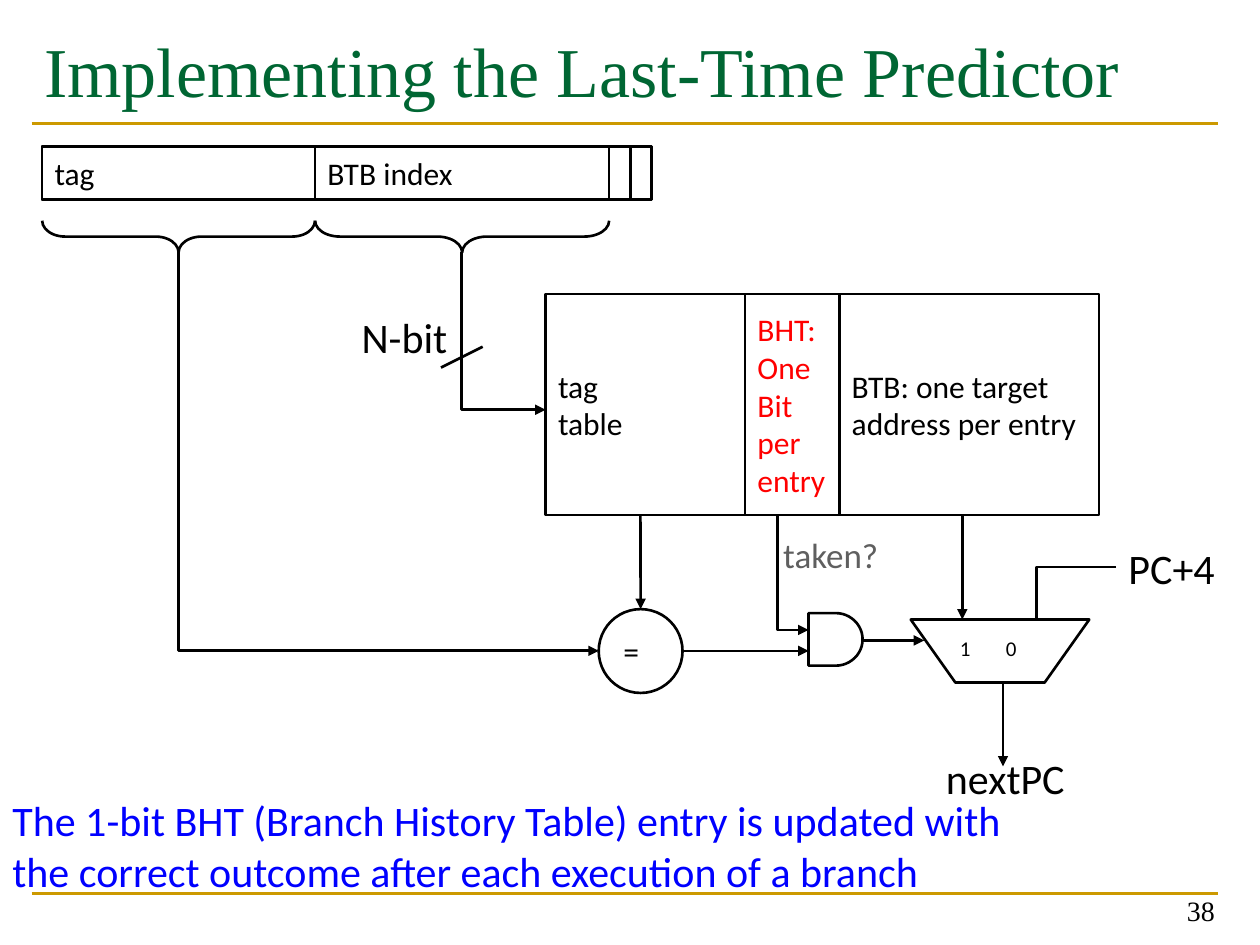
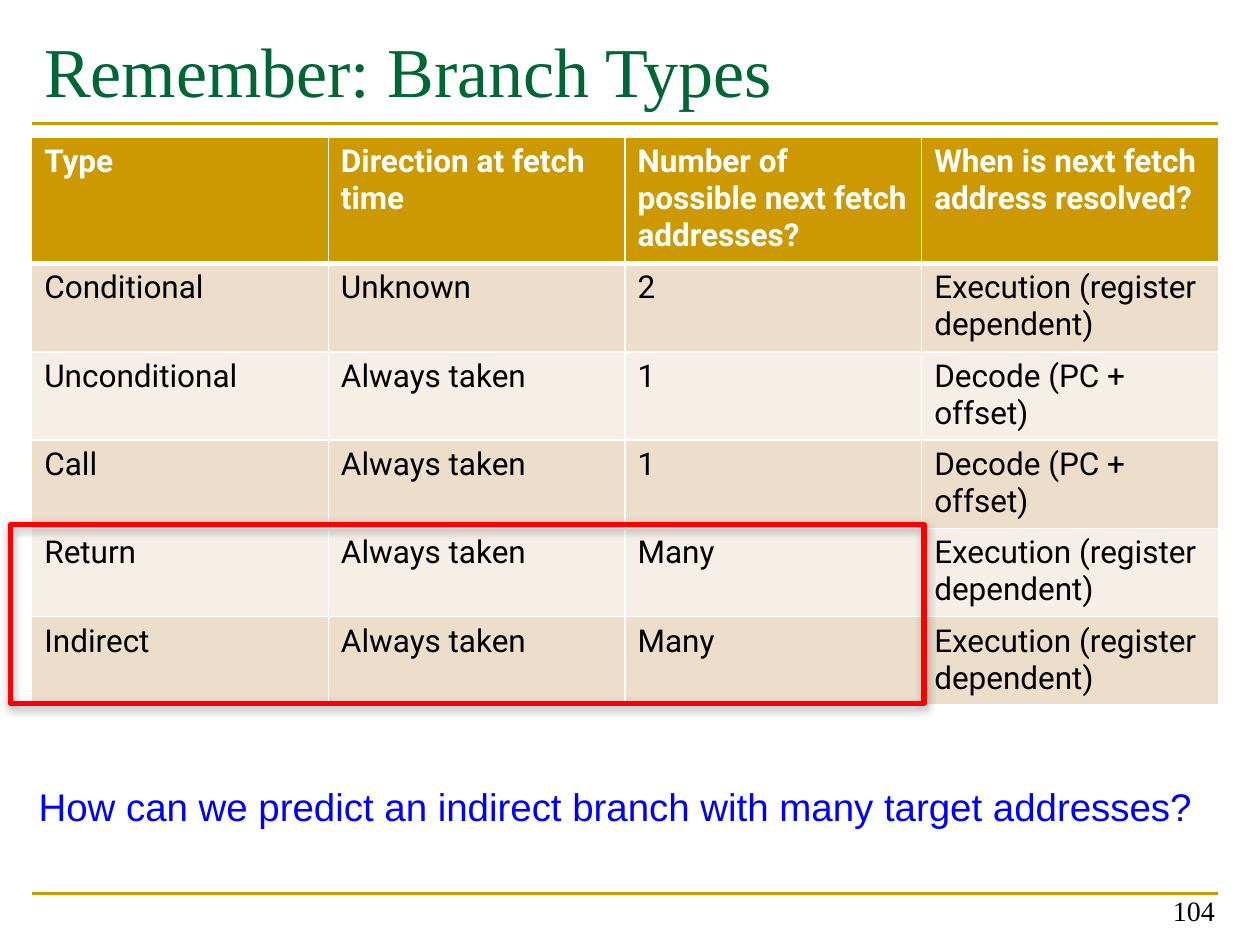
"""Build two lecture slides on branch prediction: a predictor diagram and a branch type table."""
from lxml import etree
from pptx import Presentation
from pptx.dml.color import RGBColor
from pptx.enum import shapes, text
from pptx.oxml import ns
from pptx.util import Cm, Pt

COLOURS = {"ink": "000000", "paper": "FFFFFF", "title": "006633", "gold": "CC9900",
           "blue": "0000FF", "red": "FF0000", "grey": "5F5F5F",
           "odd_row": "ECDECB", "even_row": "F6EFE7"}
STYLES = {
    "title": ("Times New Roman", 40, "title"),
    "page": ("Times New Roman", 16, "ink"),
    "box": ("Calibri", 18, "ink"),
    "alert": ("Calibri", 18, "red"),
    "signal": ("Calibri", 24, "ink"),
    "hint": ("Calibri", 20, "grey"),
    "port": ("Calibri", 12, "ink"),
    "remark": ("Calibri", 24, "blue"),
    "question": ("Arial", 22, "blue"),
    "header": ("Roboto", 18, "paper"),
    "cell": ("Roboto", 18, "ink"),
}
TOP, MIDDLE, BOTTOM = (text.MSO_ANCHOR.TOP, text.MSO_ANCHOR.MIDDLE, text.MSO_ANCHOR.BOTTOM)
LEFT, RIGHT = text.PP_ALIGN.LEFT, text.PP_ALIGN.RIGHT
SHAPE = shapes.MSO_SHAPE

RULE_HEIGHTS = (2.49, 18.01)
RULE_ENDS = (0.64, 24.55)
TITLE_BOX = (0.64, 0.43, 23.92, 2.96)
PAGE_BOX = (18.82, 17.55, 5.92, 1.27)

ADDRESS_TOP, ADDRESS_HEIGHT = 2.96, 1.06
ADDRESS_LEFT, ADDRESS_WIDTH = 0.85, 12.28
ADDRESS_FIELDS = [("tag", 5.5), ("BTB index", 5.93), ("", 0.85)]
BRACE_TOP, BRACE_DEPTH = 4.45, 0.64
BRACE_CURVES = (0.72, 0.78)

TABLE_LEFT, TABLE_TOP, TABLE_HEIGHT = 11, 5.93, 4.45
TABLE_COLUMNS = [
    ("tag\ntable", 4.02, "box"),
    ("BHT:\nOne\nBit\nper\nentry", 1.9, "alert"),
    ("BTB: one target\naddress per entry", 5.24, "box"),
]
COMPARATOR = (12.07, 12.28, 1.69, 1.69)
AND_GATE = (16.3, 12.36, 1.09, 1.06)
MUX = [(18.36, 12.49), (19.26, 13.76), (21.06, 13.76), (21.96, 12.49)]
MUX_PORTS = [("1", 19.35), ("0", 20.28)]
PC4_BOX = (22.5, 10.82, 2.26, 1.3)
BENT_WIRES = [
    ([(9.31, 5.08), (9.31, 8.26), (11, 8.26)], True),
    ([(3.6, 5.08), (3.6, 13.12), (12.07, 13.12)], True),
    ([(15.67, 10.37), (15.67, 12.7), (16.3, 12.7)], True),
    ([(PC4_BOX[0], 11.43), (20.9, 11.43), (20.9, 12.49)], False),
]
STRAIGHT_WIRES = [
    ((9.73, 6.99), (8.89, 7.41), False),
    ((19.4, 10.37), (19.4, 12.49), True),
    ((20.22, 13.76), (20.22, 15.45), True),
    ((13.76, 13.12), (16.3, 13.12), True),
    ((17.36, 12.91), (18.63, 12.91), True),
]
TABLE_TO_COMPARATOR = ((12.91, 10.37), (12.91, 12.28))
SIGNALS = [
    ("N-bit", (7.04, 6.15, 2.26, 1.3), "signal"),
    ("PC+4", PC4_BOX, "signal"),
    ("nextPC", (18.82, 15.04, 2.92, 1.3), "signal"),
    ("taken?", (15.54, 10.64, 2.44, 1.12), "hint"),
]
REMARK = ("The 1-bit BHT (Branch History Table) entry is updated with "
          "the correct outcome after each execution of a branch")
REMARK_BOX = (0, 15.9, 20.75, 2.31)

REGISTER, OFFSET = "Execution (register dependent)", "Decode (PC + offset)"
BRANCH_TYPES = [
    ("Type", "Direction at fetch time", "Number of possible next fetch addresses?",
     "When is next fetch address resolved?"),
    ("Conditional", "Unknown", "2", REGISTER),
    ("Unconditional", "Always taken", "1", OFFSET),
    ("Call", "Always taken", "1", OFFSET),
    ("Return", "Always taken", "Many", REGISTER),
    ("Indirect", "Always taken", "Many", REGISTER),
]
BRANCH_BOX = (0.64, 2.77, 23.92, 11.43)
HEADER_HEIGHT, ROW_HEIGHT = 2.54, 1.78
HIGHLIGHT = (0.21, 10.58, 18.42, 3.6)
QUESTION = "How can we predict an indirect branch with many target addresses?"
QUESTION_BOX = (0.53, 15.67, 24.87, 1.19)


def lengths(values):
    return [Cm(value) for value in values]


def colour(name):
    return RGBColor.from_string(COLOURS[name])


def assign(target, values):
    for name, value in values.items():
        setattr(target, name, value)


def add_xml(parent, tag, **attributes):
    return etree.SubElement(parent, ns.qn(tag), attributes)


def write(frame, words, style, bold=False, align=LEFT, **layout):
    family, size, tint = STYLES[style]
    assign(frame, layout)
    frame.text = words
    for paragraph in frame.paragraphs:
        paragraph.alignment = align
        for run in paragraph.runs:
            assign(run.font, {"name": family, "size": Pt(size), "bold": bold})
            run.font.color.rgb = colour(tint)


def label(slide, words, box, style, **layout):
    frame = slide.shapes.add_textbox(*lengths(box)).text_frame
    write(frame, words, style, **{"word_wrap": False, **layout})


def outline(part, tint="ink", width=1.5, arrow=False):
    part.line.color.rgb = colour(tint)
    part.line.width = Pt(width)
    if arrow:
        add_xml(part.line._get_or_add_ln(), "a:tailEnd", type="triangle")


def finish(part, fill=None, **line):
    part.shadow.inherit = False
    if fill:
        part.fill.solid()
        part.fill.fore_color.rgb = colour(fill)
    else:
        part.fill.background()
    outline(part, **line)
    return part


def block(slide, kind, box, words="", style="box", fill="paper", **line):
    part = finish(slide.shapes.add_shape(kind, *lengths(box)), fill, **line)
    if words:
        write(part.text_frame, words, style, word_wrap=False, vertical_anchor=MIDDLE)
    return part


def straight(slide, start, end, **line):
    wire = slide.shapes.add_connector(shapes.MSO_CONNECTOR.STRAIGHT, *lengths(start + end))
    outline(wire, **line)
    add_xml(wire._element.spPr, "a:effectLst")
    return wire


def polygon(slide, points, close, fill=None, **line):
    builder = slide.shapes.build_freeform(*lengths(points[0]))
    builder.add_line_segments([lengths(point) for point in points[1:]], close=close)
    return finish(builder.convert_to_shape(), fill, **line)


def new_slide(deck, heading, page):
    slide = deck.slides.add_slide(deck.slide_layouts[5])
    for height in RULE_HEIGHTS:
        straight(slide, (RULE_ENDS[0], height), (RULE_ENDS[1], height), tint="gold")
    title = slide.shapes.title
    assign(title, dict(zip(("left", "top", "width", "height"), lengths(TITLE_BOX))))
    write(title.text_frame, heading, "title", vertical_anchor=TOP, word_wrap=True,
          auto_size=text.MSO_AUTO_SIZE.NONE)
    label(slide, page, PAGE_BOX, "page", align=RIGHT, vertical_anchor=BOTTOM, word_wrap=True)
    return slide


def draw_address(slide):
    block(slide, SHAPE.RECTANGLE, (ADDRESS_LEFT, ADDRESS_TOP, ADDRESS_WIDTH, ADDRESS_HEIGHT))
    left = ADDRESS_LEFT
    for index, (field, width) in enumerate(ADDRESS_FIELDS):
        part = block(slide, SHAPE.RECTANGLE, (left, ADDRESS_TOP, width, ADDRESS_HEIGHT), field)
        if field:
            shift = (width - BRACE_DEPTH) / 2
            brace = block(slide, SHAPE.RIGHT_BRACE,
                          (left + shift, BRACE_TOP - shift, BRACE_DEPTH, width), fill=None)
            brace.rotation = 90
            brace.adjustments[0] = BRACE_CURVES[index]
        left += width
    divider = straight(slide, (0, 0), (0, 0))
    divider.begin_connect(part, 0)
    divider.end_connect(part, 2)


def draw_predictor(slide):
    draw_address(slide)
    left = TABLE_LEFT
    for words, width, style in TABLE_COLUMNS:
        block(slide, SHAPE.RECTANGLE, (left, TABLE_TOP, width, TABLE_HEIGHT), words, style)
        left += width
    comparator = block(slide, SHAPE.OVAL, COMPARATOR, "=")
    block(slide, SHAPE.FLOWCHART_DELAY, AND_GATE, fill=None)
    polygon(slide, MUX, True, fill="paper")
    for port, port_left in MUX_PORTS:
        label(slide, port, (port_left, 12.76, 0.4, 0.6), "port", vertical_anchor=MIDDLE,
              margin_left=0, margin_right=0, margin_top=0, margin_bottom=0)
    for points, arrow in BENT_WIRES:
        polygon(slide, points, False, arrow=arrow)
    for start, end, arrow in STRAIGHT_WIRES:
        straight(slide, start, end, arrow=arrow)
    straight(slide, *TABLE_TO_COMPARATOR, arrow=True).end_connect(comparator, 0)
    for words, box, style in SIGNALS:
        label(slide, words, box, style)
    label(slide, REMARK, REMARK_BOX, "remark", word_wrap=True)


def border(cell, widths):
    properties = cell._tc.get_or_add_tcPr()
    for position, (side, width) in enumerate(widths.items()):
        line = etree.Element(ns.qn("a:ln" + side), w=str(Pt(width)))
        add_xml(add_xml(line, "a:solidFill"), "a:srgbClr", val=COLOURS["paper"])
        properties.insert(position, line)


def draw_branch_types(slide):
    grid = slide.shapes.add_table(len(BRANCH_TYPES), len(BRANCH_TYPES[0]),
                                  *lengths(BRANCH_BOX)).table
    for row, entries in enumerate(BRANCH_TYPES):
        header = row == 0
        grid.rows[row].height = Cm(HEADER_HEIGHT if header else ROW_HEIGHT)
        fill = "gold" if header else "odd_row" if row % 2 else "even_row"
        for column, entry in enumerate(entries):
            cell = grid.cell(row, column)
            cell.fill.solid()
            cell.fill.fore_color.rgb = colour(fill)
            border(cell, {"L": 1, "R": 1, "T": 3 if row == 1 else 1, "B": 3 if header else 1})
            write(cell.text_frame, entry, "header" if header else "cell", bold=header)
    label(slide, QUESTION, QUESTION_BOX, "question")
    frame = block(slide, SHAPE.RECTANGLE, HIGHLIGHT, fill=None, tint="red", width=3)
    effects = frame._element.spPr.find(ns.qn("a:effectLst"))
    shadow = add_xml(effects, "a:outerShdw", blurRad=str(Pt(5)), dist=str(Pt(1.8)),
                     dir="5400000", rotWithShape="0")
    add_xml(add_xml(shadow, "a:srgbClr", val=COLOURS["ink"]), "a:alpha", val="35000")


def main():
    deck = Presentation()
    assign(deck, {"slide_width": Cm(25.4), "slide_height": Cm(19.05)})
    draw_predictor(new_slide(deck, "Implementing the Last-Time Predictor", "38"))
    draw_branch_types(new_slide(deck, "Remember: Branch Types", "104"))
    deck.save("out.pptx")


if __name__ == "__main__":
    main()
